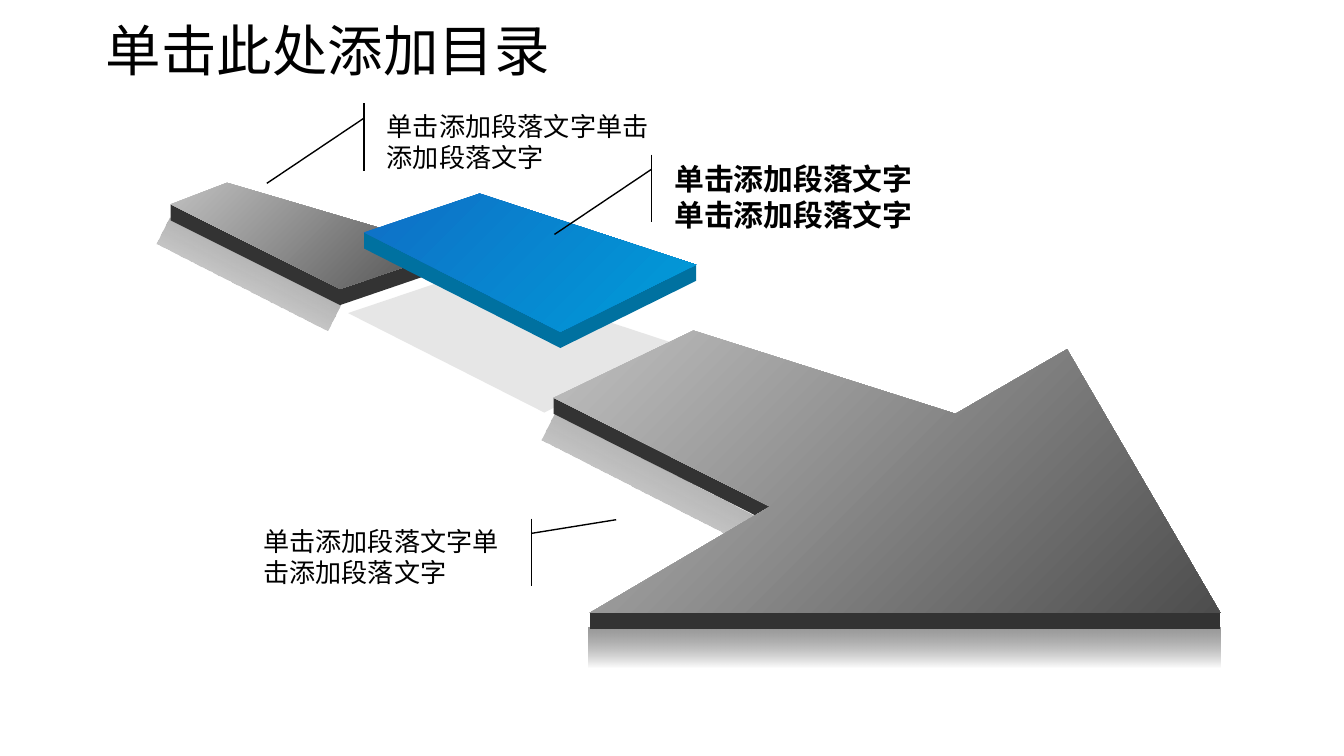
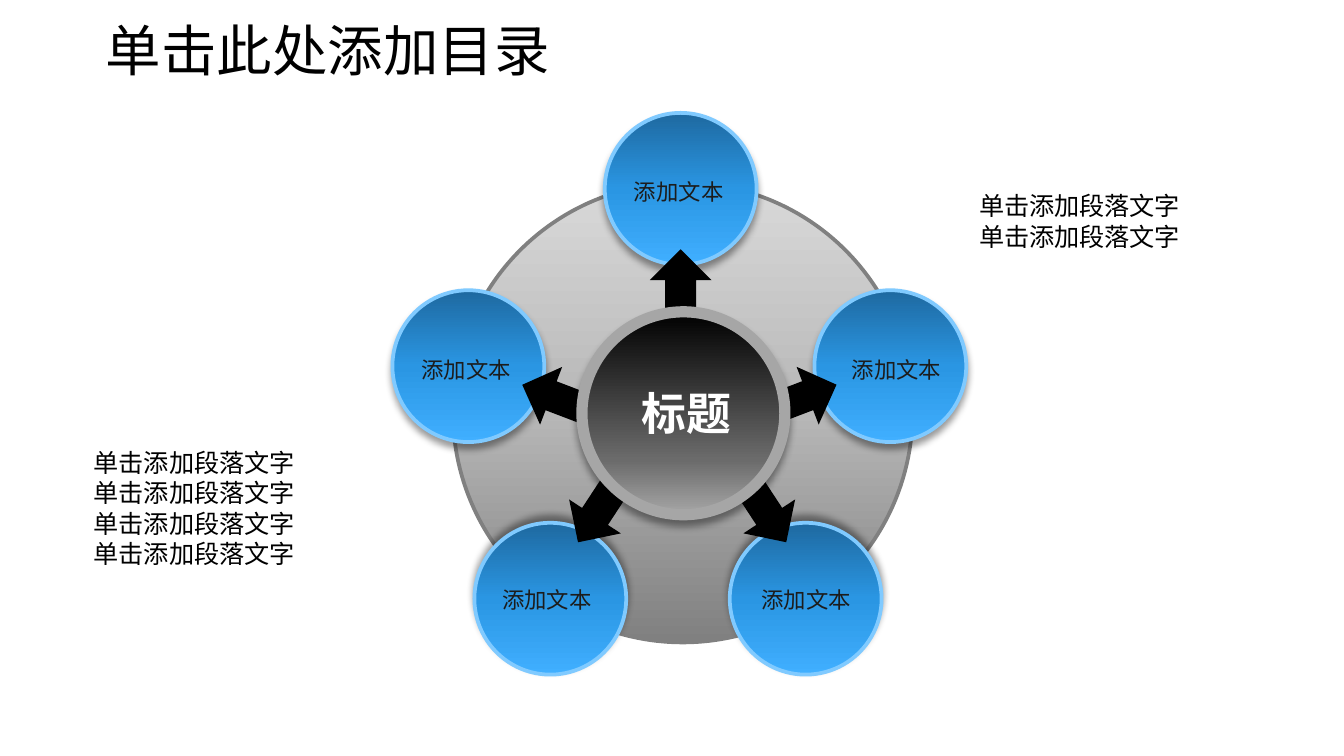
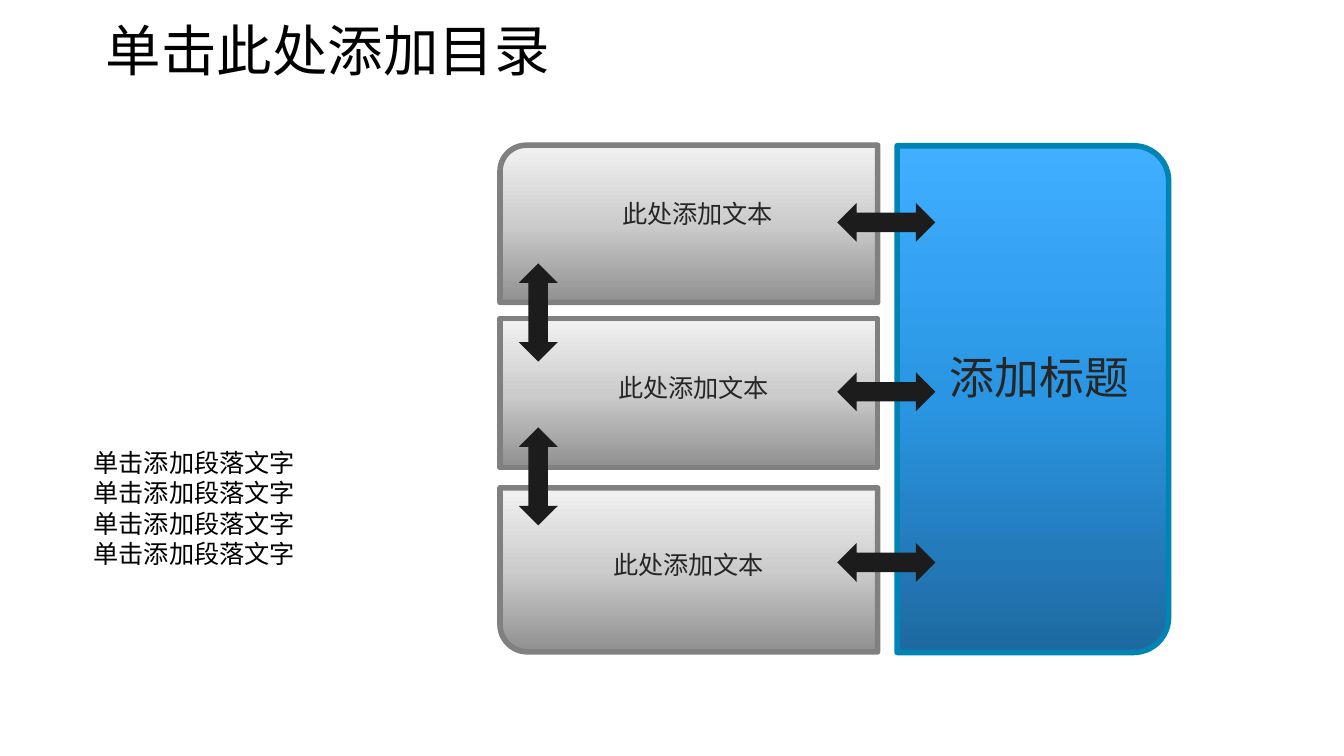
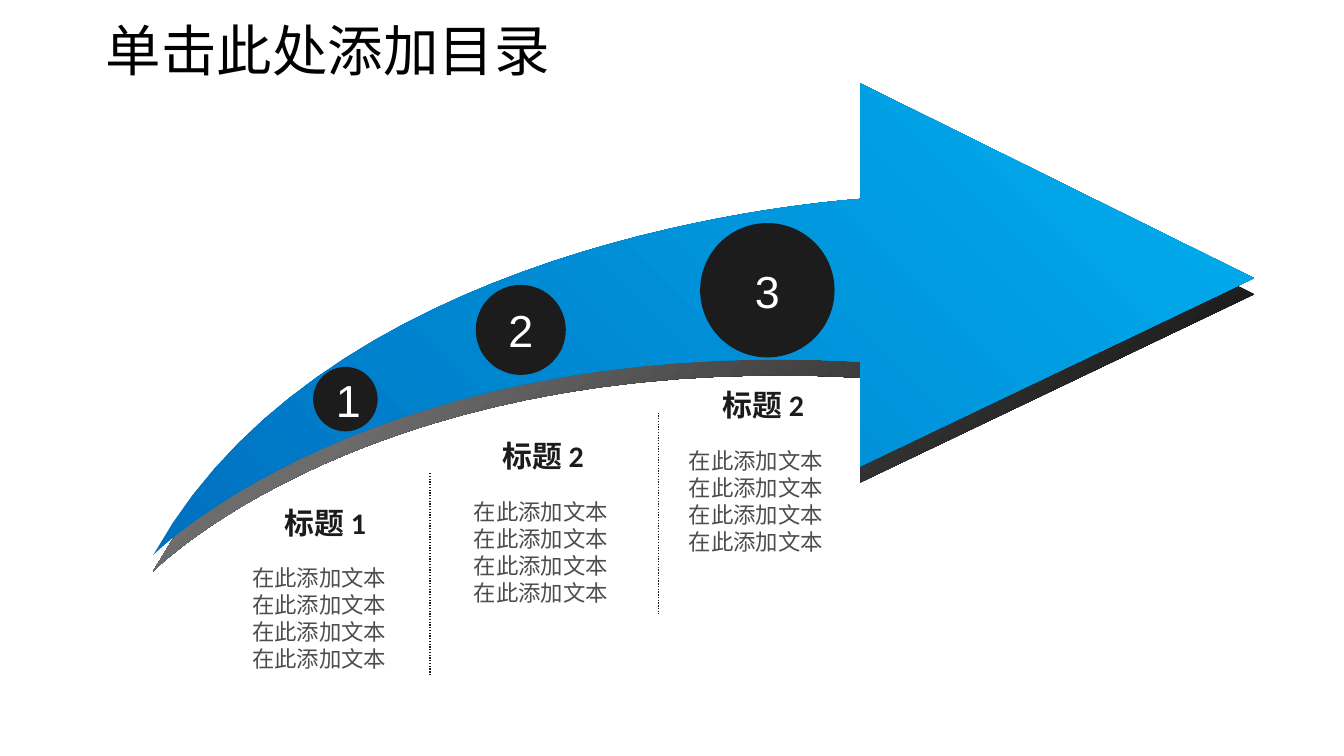
"""Build four diagram slides: a slab arrow, a hub wheel, linked boxes and a rising arrow."""
from dataclasses import dataclass

from lxml import etree
from pptx import Presentation
from pptx import util as u
from pptx.dml.color import RGBColor
from pptx.enum import dml, shapes, text
from pptx.oxml.ns import qn

KIND = shapes.MSO_SHAPE
ANCHOR = text.MSO_ANCHOR
CENTER = text.PP_ALIGN.CENTER


@dataclass(frozen=True)
class Theme:
    black: str = "000000"
    white: str = "FFFFFF"
    ink: str = "1C1C1C"
    label: str = "262626"
    body: str = "4D4D4D"
    grey_line: str = "808080"
    ring: str = "A6A6A6"
    sky_line: str = "80CAFF"
    panel_line: str = "0084B4"
    slab_side: str = "333333"
    blue_side: str = "0071A0"
    slab: tuple = ((0, "C0C0C0"), (100, "4D4D4D"))
    blue_slab: tuple = ((0, "0F6FC6"), (100, "009DD9"))
    reflection: tuple = ((0, "5F5F5F", 0), (100, "969696"))
    slab_shadow: tuple = ((0, "C0C0C0", 38), (100, "C0C0C0", 38))
    wheel: tuple = ((0, "808080"), (50, "B7B7B7"), (100, "D9D9D9"))
    blue: tuple = ((0, "1E69A0"), (50, "2A96E3"), (100, "40AFFF"))
    hub: tuple = ((0, "000000"), (73, "6B6B6B"), (100, "A6A6A6"))
    box: tuple = ((0, "909090"), (50, "CCCCCC"), (100, "F2F2F2"))
    arrow_under: tuple = ((0, "000000"), (67, "6C6C6C"), (100, "808080"))
    arrow_top: tuple = ((0, "0070C0"), (100, "00B0F0"))
    title_font: str = "DejaVu Sans"
    font: str = "Arial"
    alt_font: str = "Calibri"
    title_size: float = 29.7
    big: float = 24
    heading: float = 16
    callout: float = 14
    paragraph: float = 13.5
    small: float = 12


T = Theme()

TITLE = "单击此处添加目录"
PARAGRAPH = "单击添加段落文字"
LEFT_NOTE = ((0.6, 3.28, 2.22, 1.31), [PARAGRAPH] * 4)

SLAB_DEPTH = 0.12
BACK_SLAB = [(1.27, 1.52), (2.53, 2.15), (3.38, 1.86), (1.69, 1.36)]
BLUE_SLAB = [(2.71, 1.73), (4.17, 2.47), (5.18, 1.97), (3.57, 1.44)]
BLUE_SHADOW = [(x - 0.12, y + 0.6) for x, y in BLUE_SLAB]
ARROW_SLAB = [(4.12, 2.96), (5.73, 3.77), (4.39, 4.56), (9.08, 4.56),
              (7.94, 2.6), (7.11, 3.08), (5.16, 2.46)]
BACK_REFLECTION = ((1.14, 1.93, 1.42, 0.22), 207)
ARROW_REFLECTIONS = [((3.98, 3.49, 1.87, 0.22), 207), ((4.38, 4.67, 4.7, 0.3), 180)]
UP_LEADER = (0.219, -0.033, 1.189, -0.366)
RIGHT_LEADER = (0.219, 1.036, 0.015, 1.349)
CALLOUTS = [
    ((2.78, 0.77, 2.17, 0.5), UP_LEADER, T.callout, False),
    ((4.92, 1.15, 2.17, 0.5), UP_LEADER, T.heading, True),
    ((1.86, 3.86, 2.02, 0.5), RIGHT_LEADER, T.callout, False),
]

WHEEL = (3.37, 1.36, 3.42, 3.42)
HUB = ((4.33, 2.32, 1.51, 1.51), "标题", (4.47, 2.82, 1.28, 0.5))
NODE_SIZE = 1.13
NODE_LABEL = "添加文本"
NODES = [
    ((4.5, 0.84), (4.41, 1.28, 1.28, 0.3), 90),
    ((6.06, 2.16), (6.06, 2.6, 1.22, 0.3), 90),
    ((5.43, 3.89), (5.39, 4.31, 1.22, 0.3), 270),
    ((3.53, 3.89), (3.43, 4.31, 1.28, 0.3), 270),
    ((2.92, 2.16), (2.89, 2.6, 1.16, 0.3), 90),
]
SPOKES = [((4.82, 1.87), 270), ((5.75, 2.72), 339.1), ((3.87, 2.72), 200.9),
          ((4.19, 3.6), 123.3), ((5.47, 3.6), 56.7)]
RIGHT_NOTE = ((7.19, 1.37, 2.3, 0.71), [PARAGRAPH] * 2)

PANEL = ((5.8, 1.96, 3.77, 2.02), "添加标题", (6.93, 2.55, 1.61, 0.5))
BOX_LABEL = "此处添加文本"
BOXES = [
    (KIND.ROUND_1_RECTANGLE, (4.54, 0.26, 1.17, 2.81), 270, 0, (4.3, 1.43, 1.78, 0.4)),
    (KIND.RECTANGLE, (3.72, 2.37, 2.81, 1.11), 0, 270, (4.23, 2.72, 1.86, 0.4)),
    (KIND.ROUND_1_RECTANGLE, (3.72, 3.63, 2.81, 1.22), 180, 90, (4.16, 4.04, 1.93, 0.4)),
]
LINKS = [((6.23, 1.51), 0), ((6.23, 2.77), 0), ((6.23, 4.04), 0),
         ((3.64, 3.4), 270), ((3.64, 2.18), 270)]

ARROW_HEAD = [(6.4, 3.47), (9.33, 2.07), (6.4, 0.62)]
UPPER_CURVE = [(6.4, 1.48), (6.03, 1.51), (2.44, 1.8), (1.14, 4.13)]
LOWER_CURVE = [(1.14, 4.13), (1.14, 4.13), (2.76, 2.49), (6.4, 2.69)]
STEPS = [
    ("1", (2.33, 2.73, 0.48), "标题 1", (1.79, 3.71, 1.26), (1.65, 4.15, 1.11)),
    ("2", (3.54, 2.12, 0.67), "标题 2", (3.32, 3.21, 1.44), (3.3, 3.66, 1.11)),
    ("3", (5.21, 1.66, 1), "标题 2", (4.96, 2.83, 1.44), (4.9, 3.28, 0.91)),
]
STEP_LINES = ["在此添加文本"] * 4
DIVIDERS = [(3.2, 3.52), (4.9, 3.07)]
DIVIDER_HEIGHT = 1.5


def inches(values):
    return [u.Inches(value) for value in values]


def write(frame, lines, size=T.paragraph, font=T.font, color=T.black, bold=False,
          align=None, anchor=ANCHOR.TOP, spacing=None, wrap=True):
    frame.word_wrap = wrap
    frame.vertical_anchor = anchor
    for index, line in enumerate(lines):
        paragraph = frame.add_paragraph() if index else frame.paragraphs[0]
        paragraph.alignment = align
        paragraph.line_spacing = spacing
        run = paragraph.add_run()
        run.text = line
        run.font.size = u.Pt(size)
        run.font.name = font
        run.font.bold = bold
        run.font.color.rgb = RGBColor.from_string(color)


def label(slide, place, lines, **style):
    frame = slide.shapes.add_textbox(*inches(place)).text_frame
    write(frame, lines, **style)


def color_node(parent, color, alpha=100):
    node = etree.SubElement(parent, qn("a:srgbClr"), val=color)
    if alpha < 100:
        etree.SubElement(node, qn("a:alpha"), val=str(alpha * 1000))


def paint(part, fill=None, angle=0, line=None, width=1, shadow_angle=None):
    part.shadow.inherit = False
    properties = part._element.spPr
    if fill is None:
        part.fill.background()
    else:
        part.fill.solid()
        if isinstance(fill, str):
            part.fill.fore_color.rgb = RGBColor.from_string(fill)
        else:
            gradient = etree.Element(qn("a:gradFill"), rotWithShape="1")
            stops = etree.SubElement(gradient, qn("a:gsLst"))
            for position, *color in fill:
                stop = etree.SubElement(stops, qn("a:gs"), pos=str(position * 1000))
                color_node(stop, *color)
            etree.SubElement(gradient, qn("a:lin"), ang=str(angle * 60000), scaled="0")
            properties.replace(properties.find(qn("a:solidFill")), gradient)
    if line:
        part.line.color.rgb = RGBColor.from_string(line)
        part.line.width = u.Pt(width)
    else:
        part.line.fill.background()
    if shadow_angle is not None:
        shadow = etree.SubElement(
            properties.find(qn("a:effectLst")), qn("a:outerShdw"),
            blurRad=str(u.Pt(4)), dist=str(u.Pt(3)),
            dir=str(shadow_angle * 60000), rotWithShape="0")
        color_node(shadow, T.black, 40)


def preset(slide, kind, place, rotation=0, adjust=(), **look):
    part = slide.shapes.add_shape(kind, *inches(place))
    part.rotation = rotation
    for index, value in enumerate(adjust):
        part.adjustments[index] = value
    paint(part, **look)
    return part


def outline(slide, points, rotation=0, **look):
    start, *rest = [inches(point) for point in points]
    builder = slide.shapes.build_freeform(*start)
    builder.add_line_segments(rest, close=True)
    part = builder.convert_to_shape()
    part.rotation = rotation
    paint(part, **look)


def lowered(points, drop=SLAB_DEPTH):
    return [(x, y + drop) for x, y in points]


def slab(slide, top, fronts, fill, side):
    for front in fronts:
        outline(slide, front + lowered(front)[::-1], fill=side)
    outline(slide, top, fill=fill, angle=45)


def reflection(slide, place, rotation):
    left, top, width, height = place
    corners = [(left, top), (left + width, top),
               (left + width, top + height), (left, top + height)]
    outline(slide, corners, rotation, fill=T.reflection, angle=90)


def bezier(a, b, c, d, count=30):
    return [tuple((1 - t) ** 3 * p + 3 * (1 - t) ** 2 * t * q
                  + 3 * (1 - t) * t ** 2 * r + t ** 3 * s
                  for p, q, r, s in zip(a, b, c, d))
            for t in (step / count for step in range(count + 1))]


def slab_arrow(slide):
    reflection(slide, *BACK_REFLECTION)
    slab(slide, BACK_SLAB, [BACK_SLAB[:3]], T.slab, T.slab_side)
    outline(slide, BLUE_SHADOW, fill=T.slab_shadow)
    slab(slide, BLUE_SLAB, [BLUE_SLAB[:3]], T.blue_slab, T.blue_side)
    for place, leader, size, bold in CALLOUTS:
        callout = preset(slide, KIND.LINE_CALLOUT_1_ACCENT_BAR, place, adjust=leader,
                         line=T.black, width=0.75)
        write(callout.text_frame, [PARAGRAPH * 2], size=size, bold=bold,
              align=text.PP_ALIGN.LEFT)
    for place, rotation in ARROW_REFLECTIONS:
        reflection(slide, place, rotation)
    slab(slide, ARROW_SLAB, [ARROW_SLAB[:2], ARROW_SLAB[2:4]], T.slab, T.slab_side)


def hub_wheel(slide):
    preset(slide, KIND.OVAL, WHEEL, fill=T.wheel, angle=270, line=T.grey_line, width=2)
    for corner, label_place, shadow_angle in NODES:
        preset(slide, KIND.OVAL, (*corner, NODE_SIZE, NODE_SIZE), fill=T.blue, angle=90,
               line=T.sky_line, width=2, shadow_angle=shadow_angle)
        label(slide, label_place, [NODE_LABEL], size=T.small, font=T.alt_font,
              color=T.ink, align=CENTER)
    for corner, rotation in SPOKES:
        preset(slide, KIND.RIGHT_ARROW, (*corner, 0.49, 0.46), rotation, fill=T.black)
    hub_place, hub_title, title_place = HUB
    preset(slide, KIND.OVAL, hub_place, fill=T.hub, angle=90, line=T.ring, width=6,
           shadow_angle=90)
    label(slide, title_place, [hub_title], size=T.big, font=T.alt_font, color=T.white,
          bold=True, align=CENTER)
    label(slide, *LEFT_NOTE, wrap=False)
    label(slide, *RIGHT_NOTE)


def linked_boxes(slide):
    panel_place, panel_title, title_place = PANEL
    preset(slide, KIND.ROUND_2_SAME_RECTANGLE, panel_place, 90, (0.129, 0),
           fill=T.blue, angle=180, line=T.panel_line, width=3)
    label(slide, title_place, [panel_title], size=T.big, color=T.label, align=CENTER)
    for kind, place, rotation, angle, label_place in BOXES:
        preset(slide, kind, place, rotation, fill=T.box, angle=angle,
               line=T.grey_line, width=3)
        label(slide, label_place, [BOX_LABEL], color=T.label, align=CENTER)
    for corner, rotation in LINKS:
        preset(slide, KIND.LEFT_RIGHT_ARROW, (*corner, 0.73, 0.29), rotation, fill=T.ink)
    label(slide, *LEFT_NOTE, wrap=False)


def rising_arrow(slide):
    arrow = ARROW_HEAD + bezier(*UPPER_CURVE) + bezier(*LOWER_CURVE)[1:]
    outline(slide, lowered(arrow), fill=T.arrow_under, angle=225)
    outline(slide, arrow, fill=T.arrow_top, angle=315)
    for number, (left, top, size), heading, heading_place, body_place in STEPS:
        disc = preset(slide, KIND.OVAL, (left, top, size, size), fill=T.ink)
        write(disc.text_frame, [number], size=T.big, color=T.white, align=CENTER,
              anchor=ANCHOR.MIDDLE)
        label(slide, (*heading_place, 0.37), [heading], size=T.heading, font=T.alt_font,
              color=T.ink, bold=True, align=CENTER)
        body_left, body_top, body_height = body_place
        label(slide, (body_left, body_top, 1.45, body_height), STEP_LINES, size=T.small,
              font=T.alt_font, color=T.body, align=CENTER)
    for x, y in DIVIDERS:
        divider = slide.shapes.add_connector(
            shapes.MSO_CONNECTOR.STRAIGHT, *inches((x, y, x, y + DIVIDER_HEIGHT)))
        divider.line.color.rgb = RGBColor.from_string(T.ink)
        divider.line.width = u.Pt(0.75)
        divider.line.dash_style = dml.MSO_LINE.ROUND_DOT
        etree.SubElement(divider._element.spPr, qn("a:effectLst"))


def main():
    deck = Presentation()
    deck.slide_width = u.Inches(10)
    deck.slide_height = u.Inches(10 * 9 / 16)
    for draw in (slab_arrow, hub_wheel, linked_boxes, rising_arrow):
        slide = deck.slides.add_slide(deck.slide_layouts[6])
        label(slide, (0.69, 0.2, 8.62, 0.4), [TITLE], size=T.title_size,
              font=T.title_font, anchor=ANCHOR.MIDDLE, spacing=0.9)
        draw(slide)
    deck.save("out.pptx")


if __name__ == "__main__":
    main()
